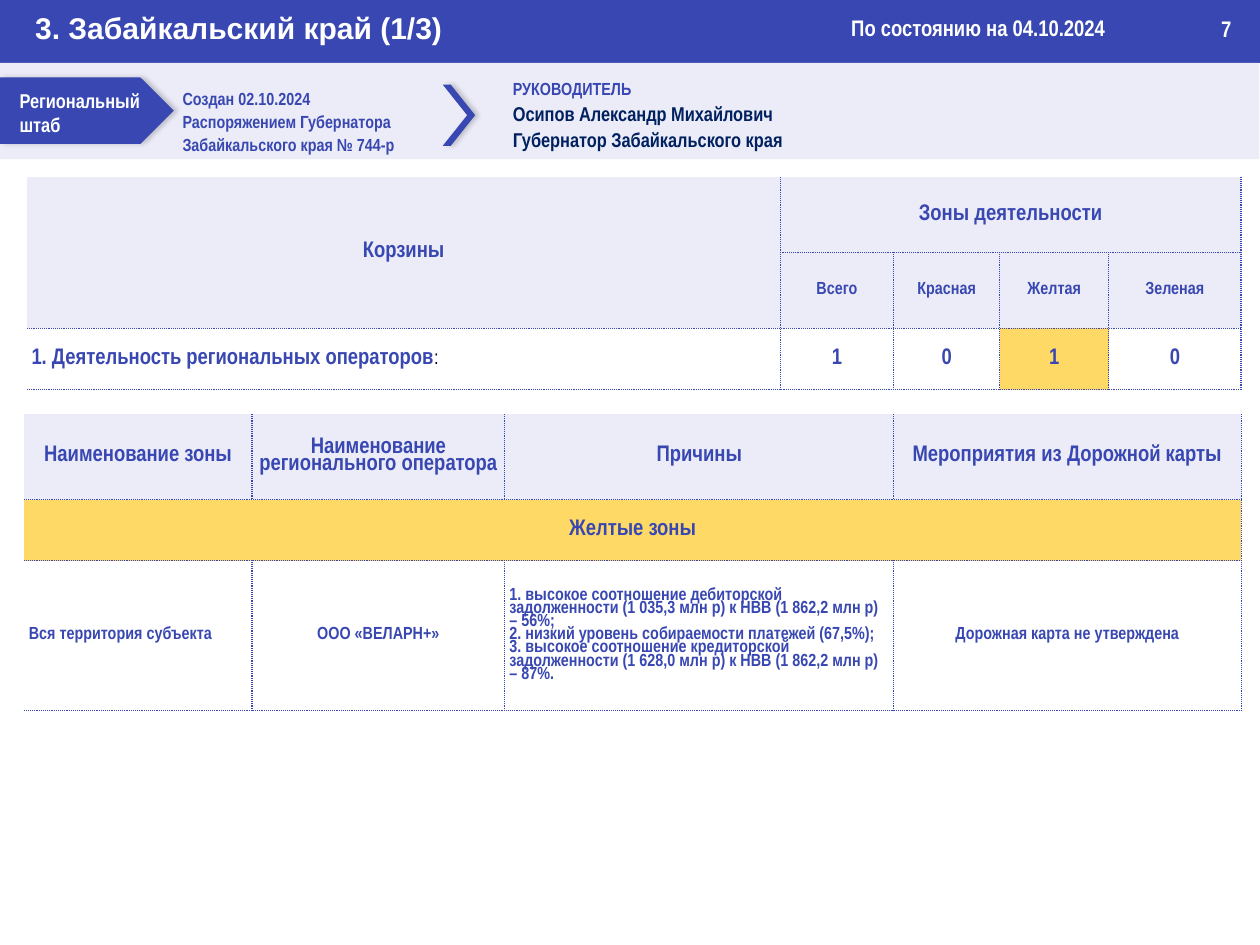
from dataclasses import dataclass

import lxml.etree
import pptx
import pptx.dml.color
import pptx.enum.shapes
import pptx.enum.text
import pptx.oxml
import pptx.oxml.ns
import pptx.util
from pptx.dml.color import RGBColor
from pptx.enum.shapes import MSO_SHAPE
from pptx.enum.text import MSO_ANCHOR, PP_ALIGN
from pptx.util import Inches, Pt

BLUE = RGBColor(0x38, 0x47, 0xB1)
NAVY = RGBColor(0x00, 0x20, 0x60)
LAVENDER = RGBColor(0xEB, 0xEC, 0xF7)
YELLOW = RGBColor(0xFF, 0xD9, 0x66)
WHITE = RGBColor(0xFF, 0xFF, 0xFF)
BLACK = RGBColor(0x00, 0x00, 0x00)
NARROW = "Arial Narrow"


@dataclass(frozen=True)
class Line:
    text: str
    size: int
    color: RGBColor = BLUE


@dataclass(frozen=True)
class Label:
    left: float
    top: float
    width: float
    height: float
    lines: tuple[Line, ...]
    spacing: float = 1.0


@dataclass(frozen=True)
class Block:
    preset: MSO_SHAPE
    left: float
    top: float
    width: float
    height: float
    color: RGBColor
    shadow: bool = False
    adjustment: float | None = None


@dataclass(frozen=True)
class Cell:
    row: int
    column: int
    text: str
    size: int = 18
    fill: RGBColor | None = LAVENDER
    rows: int = 1
    columns: int = 1
    align: PP_ALIGN = PP_ALIGN.CENTER


@dataclass(frozen=True)
class Grid:
    left: float
    top: float
    columns: tuple[float, ...]
    rows: tuple[float, ...]
    cells: tuple[Cell, ...]


HEADER_BAR = Block(MSO_SHAPE.RECTANGLE, 0, 0, 14, 0.7, BLUE)
STAFF_BLOCKS = (
    Block(MSO_SHAPE.RECTANGLE, 0, 0.7, 13.99, 1.07, LAVENDER),
    Block(MSO_SHAPE.PENTAGON, 0, 0.86, 1.93, 0.74, BLUE, True),
    Block(MSO_SHAPE.CHEVRON, 4.92, 0.94, 0.36, 0.68, BLUE, True, 0.753),
)
LABELS = (
    Label(0.12, 0.93, 1.64, 0.64, (Line("Региональный штаб", 16, WHITE),)),
    Label(1.93, 0.9, 2.83, 0.88, (
        Line("Создан 02.10.2024", 14),
        Line("Распоряжением Губернатора Забайкальского края № 744-р", 14),
    ), 1.1),
    Label(5.6, 0.79, 7.51, 0.95, (
        Line("РУКОВОДИТЕЛЬ", 14),
        Line("Осипов Александр Михайлович", 16, NAVY),
        Line("Губернатор Забайкальского края", 16, NAVY),
    ), 1.1),
    Label(9.36, 0.11, 4.0, 0.4, (Line("По состоянию на 04.10.2024", 18, WHITE),)),
    Label(13.47, 0.12, 0.52, 0.4, (Line("7", 18, WHITE),)),
)
ZONES = ("Всего", "Красная", "Желтая", "Зеленая")
COUNTS = ("1", "0", "1", "0")
BASKETS = Grid(0.3, 1.97, (8.37, 1.26, 1.18, 1.21, 1.47), (0.84, 0.84, 0.68), (
    Cell(0, 0, "Корзины", rows=2),
    Cell(0, 1, "Зоны деятельности", columns=4),
    *(Cell(1, column, zone, 14) for column, zone in enumerate(ZONES, 1)),
    Cell(2, 0, "1. Деятельность региональных операторов", fill=WHITE, align=PP_ALIGN.LEFT),
    *(Cell(2, column, count, fill=YELLOW if ZONES[column - 1] == "Желтая" else WHITE)
      for column, count in enumerate(COUNTS, 1)),
))
HEADINGS = ("Наименование зоны", "Наименование регионального оператора",
            "Причины", "Мероприятия из Дорожной карты")
REASONS = "\n".join((
    "1. высокое соотношение дебиторской задолженности (1 035,3 млн р) к НВВ (1 862,2 млн р) – 56%;",
    "2. низкий уровень собираемости платежей (67,5%);",
    "3. высокое соотношение кредиторской задолженности (1 628,0 млн р) к НВВ (1 862,2 млн р) – 87%.",
))
DETAILS = Grid(0.27, 4.6, (2.53, 2.81, 4.32, 3.86), (0.95, 0.68, 1.67), (
    *(Cell(0, column, heading) for column, heading in enumerate(HEADINGS)),
    Cell(1, 0, "Желтые зоны", fill=YELLOW, columns=4),
    Cell(2, 0, "Вся территория субъекта", 14, None, align=PP_ALIGN.LEFT),
    Cell(2, 1, "ООО «ВЕЛАРН+»", 14, None),
    Cell(2, 2, REASONS, 14, None, align=PP_ALIGN.LEFT),
    Cell(2, 3, "Дорожная карта не утверждена", 14, None),
))


def style(paragraph, size: int, color: RGBColor, name: str = NARROW) -> None:
    paragraph.font.name = name
    paragraph.font.size = Pt(size)
    paragraph.font.bold = True
    paragraph.font.color.rgb = color


def add_shadow(shape) -> None:
    effects = shape.element.spPr.find(pptx.oxml.ns.qn("a:effectLst"))
    effects.append(pptx.oxml.parse_xml(
        f'<a:outerShdw {pptx.oxml.ns.nsdecls("a")} blurRad="{Pt(4)}" dist="{Pt(3)}" dir="0">'
        '<a:srgbClr val="000000"><a:alpha val="20000"/></a:srgbClr></a:outerShdw>'))


def draw_block(slide, block: Block) -> None:
    shape = slide.shapes.add_shape(block.preset, Inches(block.left), Inches(block.top),
                                   Inches(block.width), Inches(block.height))
    shape.fill.solid()
    shape.fill.fore_color.rgb = block.color
    shape.line.fill.background()
    shape.shadow.inherit = False
    if block.adjustment is not None:
        shape.adjustments[0] = block.adjustment
    if block.shadow:
        add_shadow(shape)


def draw_title(slide, text: str) -> None:
    title = slide.shapes.title
    title.element.getparent().append(title.element)
    title.left, title.top = Inches(0), Inches(0.06)
    title.width, title.height = Inches(13.99), Inches(0.5)
    frame = title.text_frame
    frame.text = text
    frame.margin_left = Inches(0.39)
    frame.vertical_anchor = MSO_ANCHOR.TOP
    frame.paragraphs[0].alignment = PP_ALIGN.LEFT
    style(frame.paragraphs[0], 24, WHITE, "Arial")


def draw_label(slide, label: Label) -> None:
    frame = slide.shapes.add_textbox(Inches(label.left), Inches(label.top),
                                     Inches(label.width), Inches(label.height)).text_frame
    frame.word_wrap = True
    frame.text = "\n".join(line.text for line in label.lines)
    for paragraph, line in zip(frame.paragraphs, label.lines):
        paragraph.line_spacing = label.spacing
        style(paragraph, line.size, line.color)


def set_borders(cell, sides: dict[str, bool]) -> None:
    properties = cell._tc.get_or_add_tcPr()
    for index, (side, visible) in enumerate(sides.items()):
        paint = (f'<a:solidFill><a:srgbClr val="{BLUE}"/></a:solidFill><a:prstDash val="sysDot"/>'
                 if visible else "<a:noFill/>")
        properties.insert(index, pptx.oxml.parse_xml(
            f'<a:{side} {pptx.oxml.ns.nsdecls("a")} w="{Pt(1)}">{paint}</a:{side}>'))


def draw_grid(slide, grid: Grid):
    table = slide.shapes.add_table(
        len(grid.rows), len(grid.columns), Inches(grid.left), Inches(grid.top),
        Inches(sum(grid.columns)), Inches(sum(grid.rows))).table
    table.first_row = table.horz_banding = False
    for column, width in zip(table.columns, grid.columns):
        column.width = Inches(width)
    for row, height in zip(table.rows, grid.rows):
        row.height = Inches(height)
    for row in range(len(grid.rows)):
        for column in range(len(grid.columns)):
            cell = table.cell(row, column)
            cell.fill.background()
            set_borders(cell, {"lnL": column > 0, "lnR": True, "lnT": row > 0, "lnB": True})
    for item in grid.cells:
        cell = table.cell(item.row, item.column)
        if item.rows * item.columns > 1:
            cell.merge(table.cell(item.row + item.rows - 1, item.column + item.columns - 1))
        if item.fill is not None:
            cell.fill.solid()
            cell.fill.fore_color.rgb = item.fill
        cell.vertical_anchor = MSO_ANCHOR.MIDDLE
        cell.margin_left = cell.margin_right = Inches(0.05)
        cell.margin_top = cell.margin_bottom = Inches(0.02)
        cell.text = item.text
        for paragraph in cell.text_frame.paragraphs:
            paragraph.alignment = item.align
            paragraph.line_spacing = 0.8
            style(paragraph, item.size, BLUE)
    return table


def main() -> None:
    presentation = pptx.Presentation()
    presentation.slide_width, presentation.slide_height = Inches(14), Inches(10.5)
    slide = presentation.slides.add_slide(presentation.slide_layouts[5])
    draw_block(slide, HEADER_BAR)
    draw_title(slide, "3. Забайкальский край (1/3)")
    for block in STAFF_BLOCKS:
        draw_block(slide, block)
    for label in LABELS:
        draw_label(slide, label)
    draw_grid(slide, DETAILS)
    baskets = draw_grid(slide, BASKETS)
    colon = baskets.cell(2, 0).text_frame.paragraphs[0].add_run()
    colon.text = ":"
    colon.font.size = Pt(16)
    colon.font.bold = False
    colon.font.color.rgb = BLACK
    presentation.save("out.pptx")


if __name__ == "__main__":
    main()
